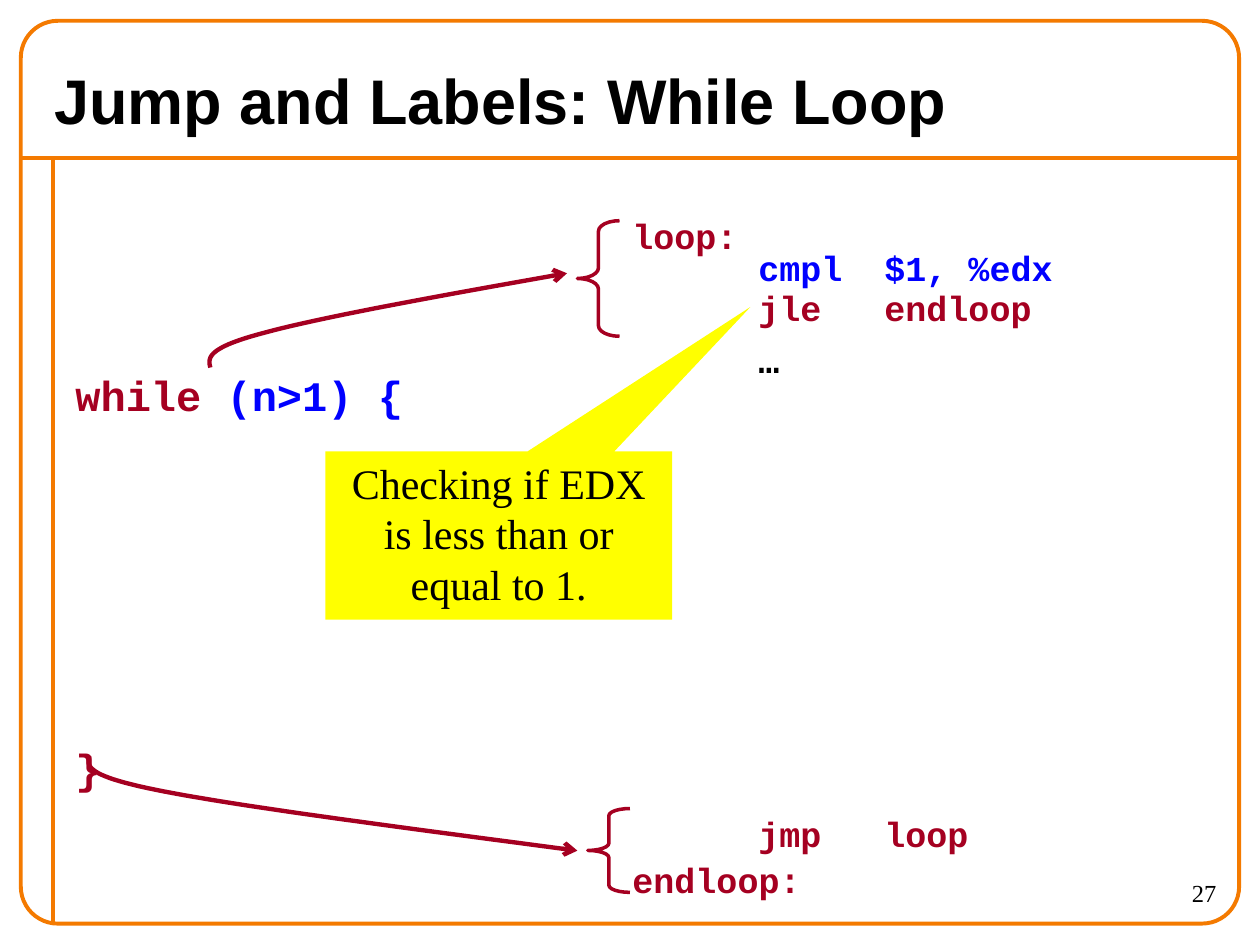
from lxml.etree import SubElement
from pptx import Presentation
from pptx.dml.color import RGBColor
from pptx.enum.shapes import MSO_CONNECTOR as Connector, MSO_SHAPE as Shape
from pptx.enum.text import MSO_ANCHOR as Anchor, PP_ALIGN as Align
from pptx.oxml.ns import qn
from pptx.util import Cm, Pt

COLORS = {
    "frame": "F47A00",
    "control": "A50021",
    "condition": "0000FF",
    "text": "000000",
    "callout": "FFFF00",
}
CODE_FONT = "Courier New"
BODY_FONT = "Times New Roman"
CURVE_STEPS = 24


def color(name):
    return RGBColor.from_string(COLORS[name])


def style_line(shape, name, width):
    shape.line.color.rgb = color(name)
    shape.line.width = Pt(width)


def add_tab_stops(para, inches=(1, 2)):
    stops = SubElement(para._p.get_or_add_pPr(), qn("a:tabLst"))
    for inch in inches:
        SubElement(stops, qn("a:tab"), pos=str(Cm(2.54 * inch)), algn="l")


def write_para(para, spans, size, font=BODY_FONT, bold=False, align=Align.LEFT,
               spacing=None, before=None, tabs=False):
    """Each span is (text, color name) or (text, color name, own size)."""
    para.alignment = align
    if spacing:
        para.line_spacing = spacing
    if before:
        para.space_before = Pt(before)
    if tabs:
        add_tab_stops(para)
    for text, name, *own_size in spans:
        span = para.add_run()
        span.text = text
        span.font.name = font
        span.font.size = Pt(own_size[0] if own_size else size)
        span.font.bold = bold
        span.font.color.rgb = color(name)


def add_text(page, left, top, width, height, spans, anchor=Anchor.TOP, **style):
    box = page.shapes.add_textbox(Cm(left), Cm(top), Cm(width), Cm(height))
    frame = box.text_frame
    frame.word_wrap = True
    frame.vertical_anchor = anchor
    write_para(frame.paragraphs[0], spans, **style)
    return frame


def add_code(page, left, top, width, height, lines, size=20):
    """Each line is (spans, line spacing, space before)."""
    style = dict(size=size, font=CODE_FONT, bold=True, tabs=True)
    first, *others = lines
    frame = add_text(page, left, top, width, height, first[0],
                     spacing=first[1], **style)
    for spans, spacing, before in others:
        write_para(frame.add_paragraph(), spans, spacing=spacing,
                   before=before, **style)


def add_rule(page, x1, y1, x2, y2):
    rule = page.shapes.add_connector(Connector.STRAIGHT, Cm(x1), Cm(y1), Cm(x2), Cm(y2))
    style_line(rule, "frame", 2.25)
    SubElement(rule._element.spPr, qn("a:effectLst"))


def add_shape(page, kind, left, top, width, height, adjustments):
    shape = page.shapes.add_shape(kind, Cm(left), Cm(top), Cm(width), Cm(height))
    shape.shadow.inherit = False
    for index, value in enumerate(adjustments):
        shape.adjustments[index] = value
    return shape


def add_brace(page, left, top, width, height, curl):
    brace = add_shape(page, Shape.LEFT_BRACE, left, top, width, height, [curl, 0.5])
    brace.fill.background()
    style_line(brace, "control", 2)


def bezier(p0, p1, p2, p3):
    """Points along a cubic curve, without its start."""
    for step in range(1, CURVE_STEPS + 1):
        t = step / CURVE_STEPS
        u = 1 - t
        yield tuple(Cm(u**3 * a + 3 * u * u * t * b + 3 * u * t * t * c + t**3 * d)
                    for a, b, c, d in zip(p0, p1, p2, p3))


def add_curved_arrow(page, points):
    """Seven points: two cubic curves that share the middle one."""
    builder = page.shapes.build_freeform(Cm(points[0][0]), Cm(points[0][1]))
    path = [*bezier(*points[:4]), *bezier(*points[3:])]
    builder.add_line_segments(path, close=False)
    arrow = builder.convert_to_shape()
    arrow.shadow.inherit = False
    arrow.fill.background()
    style_line(arrow, "control", 2.5)
    SubElement(arrow._element.spPr.find(qn("a:ln")), qn("a:tailEnd"), type="arrow")


def add_callout(page, left, top, width, height, text):
    callout = add_shape(page, Shape.RECTANGULAR_CALLOUT, left, top, width, height,
                        [0.726, -1.359])
    callout.fill.solid()
    callout.fill.fore_color.rgb = color("callout")
    callout.line.fill.background()
    frame = callout.text_frame
    frame.word_wrap = True
    frame.vertical_anchor = Anchor.TOP
    write_para(frame.paragraphs[0], [(text, "text")], size=24, align=Align.CENTER)


def main():
    deck = Presentation()
    deck.slide_width, deck.slide_height = Cm(25.4), Cm(19.05)
    page = deck.slides.add_slide(deck.slide_layouts[6])

    # Frame and page number
    add_rule(page, 0.43, 3.18, 24.97, 3.18)
    add_rule(page, 1.06, 3.18, 1.06, 18.62)
    border = add_shape(page, Shape.ROUNDED_RECTANGLE, 0.42, 0.42, 24.56, 18.2, [0.041])
    border.fill.background()
    style_line(border, "frame", 2.25)
    add_text(page, 22.23, 17.57, 2.54, 1.06, [("27", "text")], size=14,
             align=Align.RIGHT)

    # Assembly code
    add_code(page, 12.5, 6.55, 11.85, 1.06, [
        ([("\t", "text", 24), ("…", "text")], None, None),
    ])
    add_code(page, 12.5, 4.2, 11.85, 2.3, [
        ([("loop:", "control")], None, None),
        ([("\tcmpl\t$1, %edx", "condition")], 0.1, 12.5),
        ([("\tjle\tendloop", "control")], 0.5, 12.5),
    ])
    add_code(page, 12.5, 16.26, 11.85, 1.75, [
        ([("\tjmp\tloop", "control")], None, None),
        ([("endloop:", "control")], 0.5, 12.5),
    ])

    # Title
    add_text(page, 0.85, 1.06, 23.7, 1.9, [("Jump and Labels: While Loop", "text")],
             anchor=Anchor.MIDDLE, size=36, font="Arial", bold=True)

    # While loop
    add_code(page, 1.27, 7.33, 8.68, 11.29, [
        ([("while", "control"), (" (n>1) {", "condition")], None, None),
        ([("}", "control")], 0.7, 192),
    ], size=24)

    # Braces, and arrows from the loop to its assembly code
    add_brace(page, 11.64, 4.45, 0.85, 2.33, 0.25)
    add_curved_arrow(page, [(4.24, 7.41), (4.19, 7.21), (4.17, 7.01), (5.36, 6.7),
                            (6.55, 6.38), (8.99, 5.94), (11.43, 5.51)])
    add_brace(page, 11.85, 16.3, 0.85, 1.69, 0.17)
    add_curved_arrow(page, [(1.8, 15.24), (1.75, 15.44), (1.7, 15.65), (3.33, 15.96),
                            (4.97, 16.28), (8.31, 16.71), (11.64, 17.15)])

    # Explanation of the jump
    add_callout(page, 6.56, 9.1, 6.99, 3.39,
                "Checking if EDX is less than or equal to 1.")

    deck.save("out.pptx")


if __name__ == "__main__":
    main()
